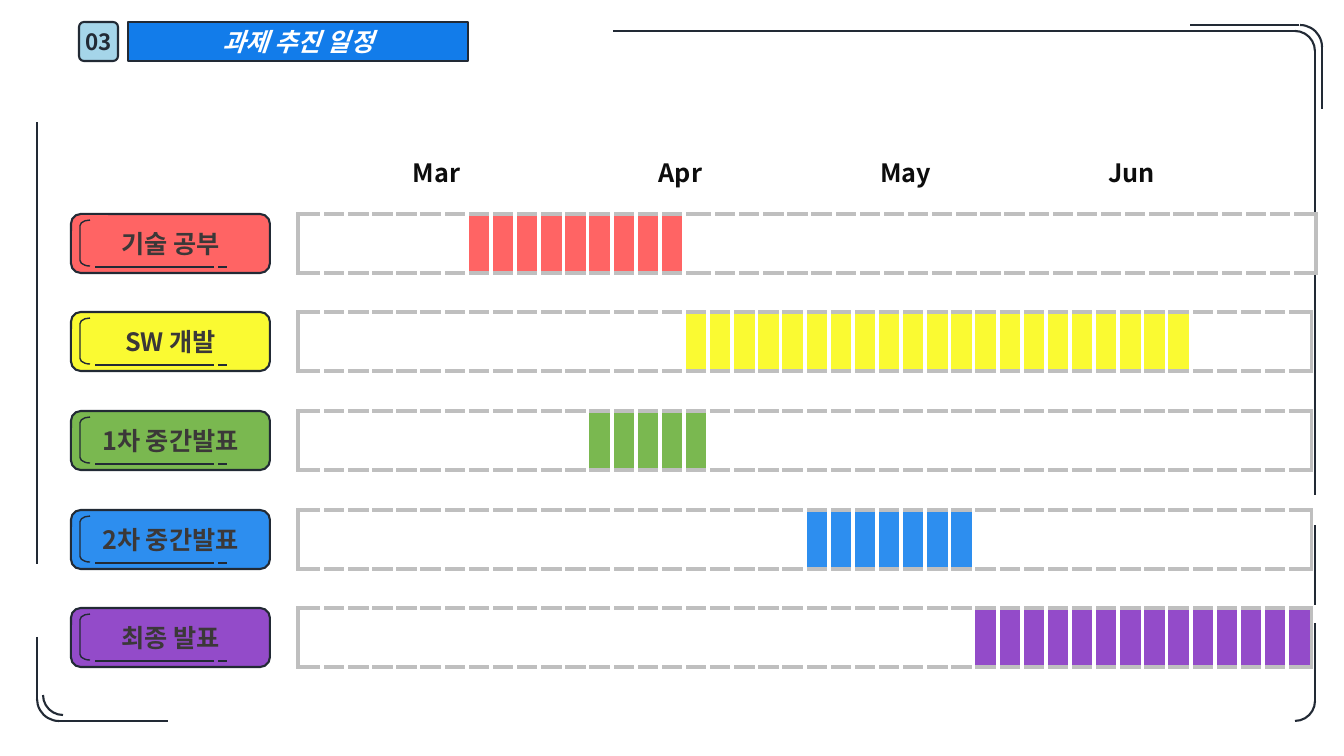
"""Builds a project schedule slide with one Gantt row per task."""
from dataclasses import dataclass

from lxml import etree
from pptx import Presentation
from pptx import util as u
from pptx.dml import color
from pptx.enum import shapes, text
from pptx.oxml import ns, xmlchemy


@dataclass(frozen=True)
class Theme:
    font: str = "Noto Sans CJK KR"
    ink: str = "222A35"
    title_fill: str = "127CEA"
    badge_fill: str = "A5D5E9"
    label_text: str = "3B3838"
    month_text: str = "0D0D0D"
    white: str = "FFFFFF"
    grid: str = "BFBFBF"
    body: int = 18
    small: int = 16
    outline: float = 1.5
    thin: float = 1
    border: int = 3


THEME = Theme()
NUMBER, HEADING = "03", "과제 추진 일정"
MONTHS = [("Mar", 377), ("Apr", 621), ("May", 846), ("Jun", 1072)]
TASKS = [
    ("기술 공부", "FF6464", 7, 9),
    ("SW 개발", "FAFA32", 16, 21),
    ("1차 중간발표", "7AB850", 12, 5),
    ("2차 중간발표", "2D8EEF", 21, 7),
    ("최종 발표", "934BC9", 28, 14),
]
WIDE_COLUMNS = {(0, 16): 29}
FRAME_LINES = [
    (1295, 31, 613, 31), (1315, 495, 1315, 51),
    (1299, 25, 1190, 25), (1322, 109, 1322, 47),
    (1315, 605, 1315, 525), (1315, 703, 1315, 623),
    (58, 721, 168, 721), (37, 637, 37, 700), (37, 564, 37, 122),
]
FRAME_ARCS = [
    (1275, 31, 40, 0), (1278, 25, 44, 0), (1275, 681, 40, 90),
    (43, 675, 40, 180), (37, 677, 44, 180),
]
SLIDE_W, SLIDE_H = 1344, 756
ROW_TOP, ROW_PITCH, ROW_H = 214, 98.5, 59
GRID_LEFT, DAYS, DAY_W = 298, 42, 23
LABEL_LEFT, LABEL_W = 71, 199


def px(length):
    return u.Emu(round(length * 914400 / 100.8))


def rgb(value):
    return color.RGBColor.from_string(value)


def write(shape, words, size, tint, italic=False, wrap=True):
    frame = shape.text_frame
    frame.word_wrap = wrap
    frame.auto_size = text.MSO_AUTO_SIZE.NONE
    frame.vertical_anchor = text.MSO_ANCHOR.MIDDLE
    frame.text = words
    line = frame.paragraphs[0]
    line.alignment = text.PP_ALIGN.CENTER
    font = line.font
    font.name, font.size, font.bold, font.italic = THEME.font, u.Pt(size), True, italic
    font.color.rgb = rgb(tint)
    east_asian = etree.SubElement(line._p.pPr.defRPr, ns.qn("a:ea"))
    east_asian.set("typeface", THEME.font)


def paint(shape, fill=None, weight=THEME.outline):
    if fill:
        shape.fill.solid()
        shape.fill.fore_color.rgb = rgb(fill)
    else:
        shape.fill.background()
    shape.line.color.rgb = rgb(THEME.ink)
    shape.line.width = u.Pt(weight)


def add_preset(parent, preset, box, fill=None, weight=THEME.outline, adjust=None, turn=0):
    shape = parent.add_shape(preset, *map(px, box))
    shape.shadow.inherit = False
    shape.rotation = turn
    if adjust is not None:
        shape.adjustments[0] = adjust
    paint(shape, fill, weight)
    return shape


def add_line(parent, ends, weight=THEME.outline):
    line = parent.add_connector(shapes.MSO_CONNECTOR.STRAIGHT, *map(px, ends))
    line.line.color.rgb = rgb(THEME.ink)
    line.line.width = u.Pt(weight)
    etree.SubElement(line._element.spPr, ns.qn("a:effectLst"))


def add_heading(slide):
    title = slide.shapes.title
    title.left, title.top, title.width, title.height = map(px, (128, 22, 340, 39))
    outline = etree.SubElement(title._element.spPr, ns.qn("a:prstGeom"), prst="roundRect")
    guides = etree.SubElement(outline, ns.qn("a:avLst"))
    etree.SubElement(guides, ns.qn("a:gd"), name="adj", fmla="val 11100")
    paint(title, THEME.title_fill)
    write(title, HEADING, THEME.body, THEME.white, italic=True)
    badge = add_preset(slide.shapes, shapes.MSO_SHAPE.ROUNDED_RECTANGLE,
                       (79, 22, 39, 39), THEME.badge_fill, adjust=0.127)
    write(badge, NUMBER, THEME.small, THEME.ink, wrap=False)


def add_frame(slide):
    frame = slide.shapes.add_group_shape().shapes
    for left, top, side, turn in FRAME_ARCS:
        add_preset(frame, shapes.MSO_SHAPE.ARC, (left, top, side, side), turn=turn)
    for ends in FRAME_LINES:
        add_line(frame, ends)


def style_day(cell, day, fill):
    edges = {
        "lnL": THEME.grid if day == 0 else THEME.white,
        "lnR": THEME.grid if day == DAYS - 1 else THEME.white,
        "lnT": THEME.grid,
        "lnB": THEME.grid,
    }
    properties = cell._tc.get_or_add_tcPr()
    for edge, tint in edges.items():
        border = etree.SubElement(properties, ns.qn(f"a:{edge}"), w=str(u.Pt(THEME.border)))
        solid = etree.SubElement(border, ns.qn("a:solidFill"))
        etree.SubElement(solid, ns.qn("a:srgbClr"), val=tint)
    cell.fill.solid()
    cell.fill.fore_color.rgb = rgb(fill)


def add_bar(slide, row, top, fill, start, length):
    widths = [WIDE_COLUMNS.get((row, day), DAY_W) for day in range(DAYS)]
    bar = slide.shapes.add_table(1, DAYS, px(GRID_LEFT), px(top), px(sum(widths)), px(ROW_H)).table
    bar.first_row = bar.horz_banding = False
    for day, width in enumerate(widths):
        bar.columns[day].width = px(width)
        style_day(bar.cell(0, day), day, fill if start <= day < start + length else THEME.white)


def add_label(slide, top, name, fill):
    label = slide.shapes.add_group_shape().shapes
    plate = add_preset(label, shapes.MSO_SHAPE.ROUNDED_RECTANGLE,
                       (LABEL_LEFT, top, LABEL_W, ROW_H), fill)
    write(plate, name, THEME.body, THEME.label_text)
    add_preset(label, shapes.MSO_SHAPE.RIGHT_BRACKET, (LABEL_LEFT + 9, top + 6, 10, 46),
               weight=THEME.thin, adjust=0.557, turn=180)
    for begin, end in ((143, 24), (156, 147)):
        add_line(label, (LABEL_LEFT + begin, top + 53, LABEL_LEFT + end, top + 53), THEME.thin)


def main():
    deck = Presentation()
    deck.slide_width, deck.slide_height = px(SLIDE_W), px(SLIDE_H)
    slide = deck.slides.add_slide(deck.slide_layouts[5])
    add_heading(slide)
    add_frame(slide)
    for month, left in MONTHS:
        box = slide.shapes.add_textbox(px(left), px(152), px(119), px(40))
        write(box, month, THEME.body, THEME.month_text)
    for row, (name, fill, start, length) in enumerate(TASKS):
        top = round(ROW_TOP + row * ROW_PITCH)
        add_bar(slide, row, top, fill, start, length)
        add_label(slide, top, name, fill)
    deck.save("out.pptx")


if __name__ == "__main__":
    main()
